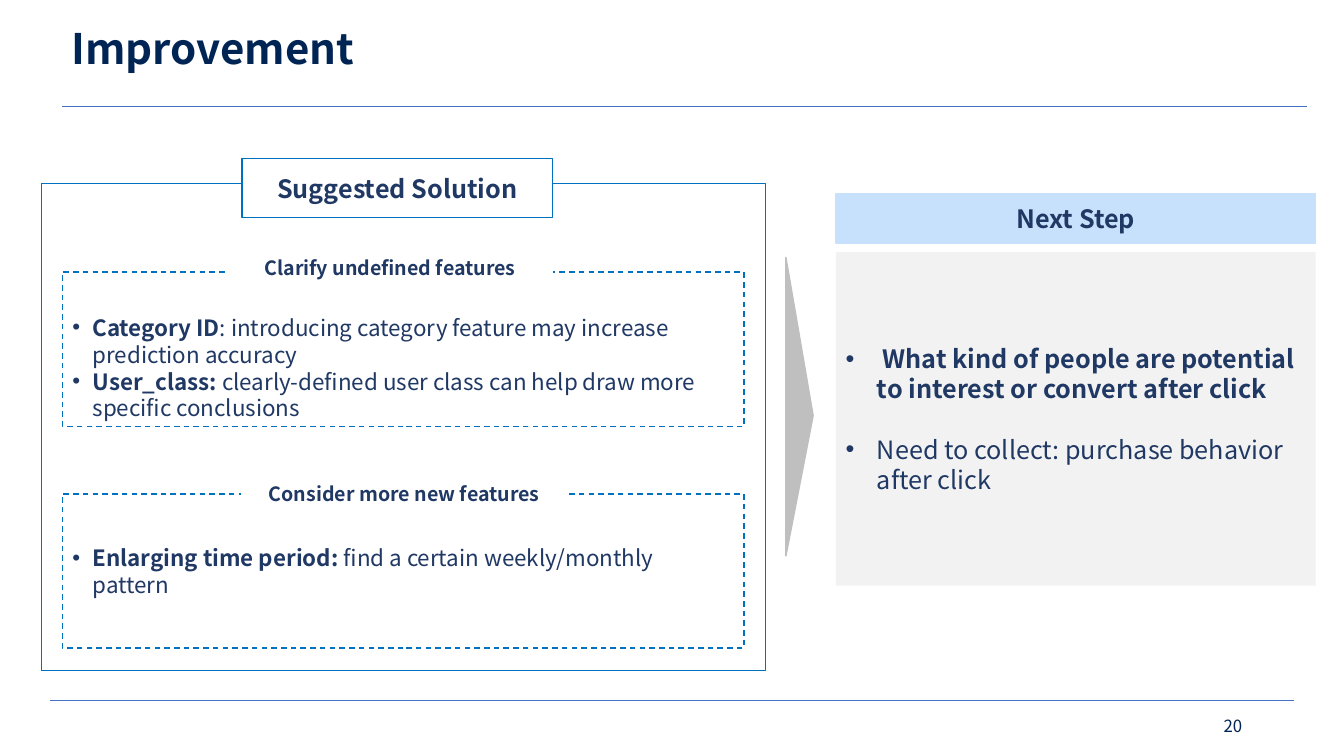
from lxml import etree
from pptx import Presentation
from pptx import util as u
from pptx.dml.color import RGBColor
from pptx.enum import dml, shapes, text
from pptx.oxml.ns import qn

# Content: paragraphs are lists of (words, bold) runs
TITLE = "Improvement"
PAGE = "20"
SOLUTION = "Suggested Solution"
NEXT_STEP = "Next Step"
FEATURES = [
    dict(heading="Clarify undefined features", top=2.7, anchor="bottom",
         label_at=(2.26, 2.44),
         points=[[("Category ID", True),
                  (": introducing category feature may increase prediction accuracy", False)],
                 [("User_class: ", True),
                  ("clearly-defined user class can help draw more specific conclusions", False)]]),
    dict(heading="Consider more new features", top=4.9, anchor="middle",
         label_at=(2.4, 4.68),
         points=[[("Enlarging time period: ", True),
                  ("find a certain weekly/monthly pattern", False)]]),
]
NEXT_POINTS = [
    [(" What kind of people are potential to interest or convert after click", True)],
    [("Need to collect: purchase behavior after click", False)],
]

FONT = "Noto Sans CJK SC"
COLORS = dict(title="002554", body="203864", rule="4472C4", frame="0070C0",
              white="FFFFFF", panel="F2F2F2", arrow="BFBFBF", banner="C7E0FB")
ANCHORS = dict(middle=text.MSO_ANCHOR.MIDDLE, bottom=text.MSO_ANCHOR.BOTTOM)
NEXT_LEFT, NEXT_WIDTH = 8.29, 4.76


def rgb(name):
    return RGBColor.from_string(COLORS[name])


def write(shape, paragraphs, size, color="body", align=text.PP_ALIGN.LEFT,
          anchor="middle", indent=0, gap=0, spacing=None):
    """Fill a shape with paragraphs of runs; an indent makes them bulleted."""
    frame = shape.text_frame
    frame.word_wrap = True
    frame.vertical_anchor = ANCHORS[anchor]
    for i, runs in enumerate(paragraphs):
        para = frame.add_paragraph() if i else frame.paragraphs[0]
        para.alignment = align
        if spacing:
            para.line_spacing = spacing
        if i and gap:
            para.space_before = u.Pt(gap)
        if indent:
            props = para._p.get_or_add_pPr()
            props.set("marL", str(u.Inches(indent)))
            props.set("indent", str(-u.Inches(indent)))
            etree.SubElement(props, qn("a:buFont")).set("typeface", "Arial")
            etree.SubElement(props, qn("a:buChar")).set("char", "•")
        for words, bold in runs:
            run = para.add_run()
            run.text = words
            run.font.name, run.font.size, run.font.bold = FONT, u.Pt(size), bold
            run.font.color.rgb = rgb(color)


def add_box(slide, at, fill=None, line=None, dashed=False,
            kind=shapes.MSO_SHAPE.RECTANGLE):
    box = slide.shapes.add_shape(kind, *map(u.Inches, at))
    box.shadow.inherit = False
    if fill:
        box.fill.solid()
        box.fill.fore_color.rgb = rgb(fill)
    else:
        box.fill.background()
    if line:
        box.line.color.rgb = rgb(line)
        box.line.width = u.Pt(1)
        if dashed:
            box.line.dash_style = dml.MSO_LINE.DASH
    else:
        box.line.fill.background()
    return box


def add_rule(slide, left, right, y):
    rule = slide.shapes.add_connector(shapes.MSO_CONNECTOR.STRAIGHT,
                                      *map(u.Inches, (left, y, right, y)))
    rule.line.color.rgb = rgb("rule")
    rule.line.width = u.Pt(0.5)
    etree.SubElement(rule._element.spPr, qn("a:effectLst"))


def add_label(slide, at, words, size, fill, line):
    write(add_box(slide, at, fill, line), [[(words, True)]], size,
          align=text.PP_ALIGN.CENTER)


def main():
    deck = Presentation()
    deck.slide_width, deck.slide_height = u.Inches(13.33), u.Inches(7.5)
    slide = deck.slides.add_slide(deck.slide_layouts[5])

    # Title, rules and page number
    add_rule(slide, 0.62, 12.96, 1.06)
    add_rule(slide, 0.5, 12.83, 6.95)
    title = slide.shapes.title
    title.left, title.top, title.width, title.height = map(
        u.Inches, (0.61, -0.02, 11.5, 1.06))
    write(title, [[(TITLE, True)]], 30, "title", spacing=0.9)
    page = slide.shapes.add_textbox(*map(u.Inches, (9.42, 7, 3, 0.4)))
    write(page, [[(PAGE, False)]], 12, "title", text.PP_ALIGN.RIGHT)

    # Suggested solution: outer frame, then dashed boxes with their headings
    add_box(slide, (0.41, 1.82, 7.18, 4.83), line="frame")
    add_label(slide, (2.4, 1.57, 3.08, 0.59), SOLUTION, 18, "white", "frame")
    for feature in FEATURES:
        box = add_box(slide, (0.62, feature["top"], 6.76, 1.53),
                      line="frame", dashed=True)
        write(box, feature["points"], 16, anchor=feature["anchor"], indent=0.2)
        add_label(slide, (*feature["label_at"], 3.22, 0.44),
                  feature["heading"], 14, "white", "white")

    # Arrow towards the next step
    arrow = add_box(slide, (6.45, 3.9, 2.96, 0.27), "arrow", "arrow",
                    kind=shapes.MSO_SHAPE.ISOSCELES_TRIANGLE)
    arrow.adjustments[0] = 0.53
    arrow.rotation = 90

    # Next step
    add_label(slide, (NEXT_LEFT, 1.92, NEXT_WIDTH, 0.49), NEXT_STEP, 18,
              "banner", "banner")
    panel = add_box(slide, (NEXT_LEFT, 2.5, NEXT_WIDTH, 3.31), "panel")
    write(panel, NEXT_POINTS, 18, indent=0.31, gap=21.6)

    deck.save("out.pptx")


if __name__ == "__main__":
    main()
